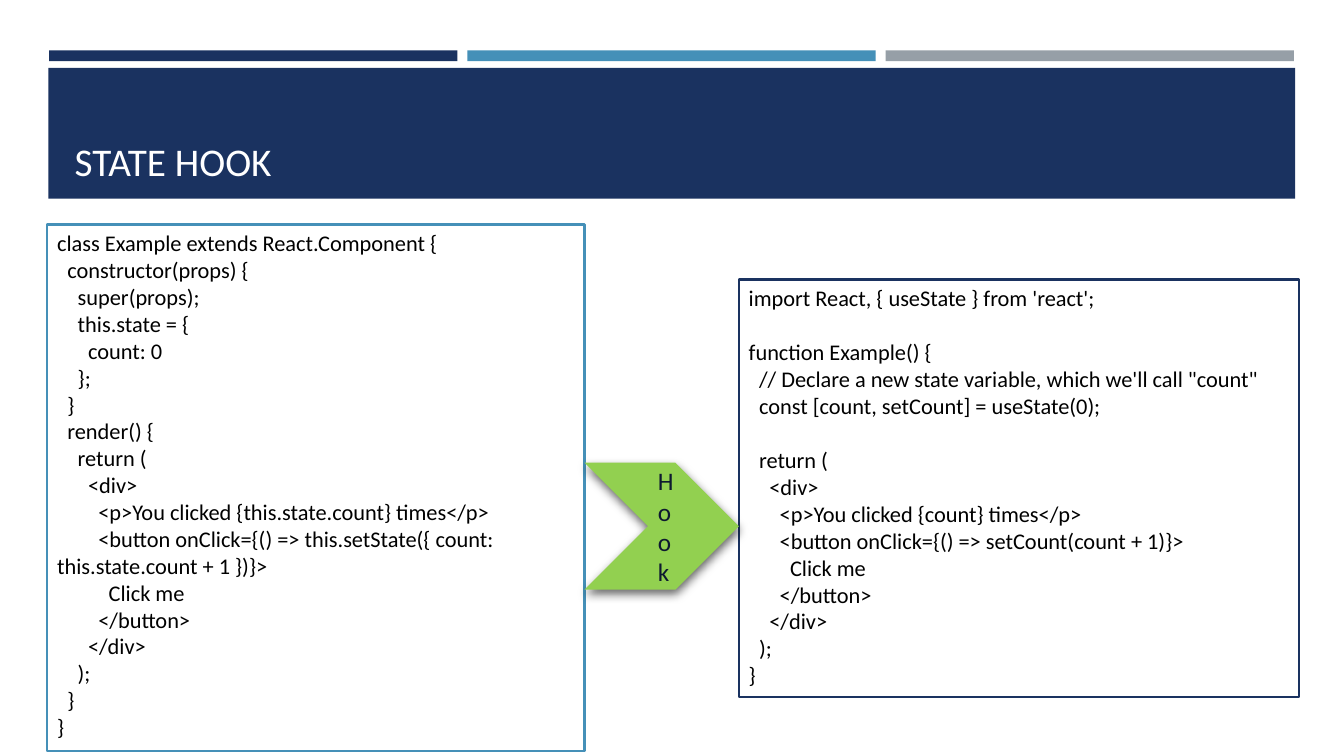
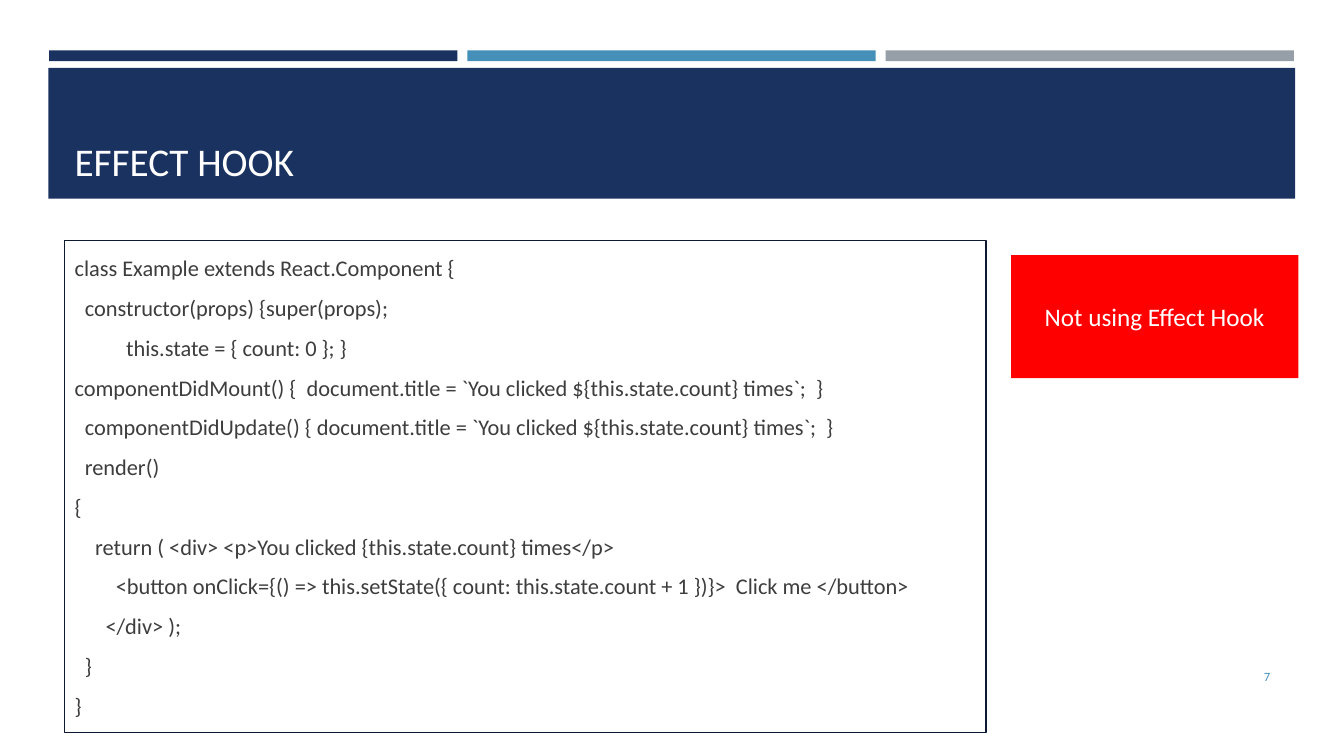
from lxml.etree import SubElement
from pptx import Presentation
from pptx.dml.color import RGBColor
from pptx.enum.shapes import MSO_SHAPE
from pptx.enum.text import MSO_ANCHOR, PP_ALIGN
from pptx.oxml.ns import qn
from pptx.util import Cm, Pt

NAVY = RGBColor(0x1A, 0x32, 0x60)
DARK_NAVY = RGBColor(0x0D, 0x19, 0x30)
BLUE = RGBColor(0x45, 0x90, 0xB8)
GRAY = RGBColor(0x96, 0x9F, 0xA7)
GREEN = RGBColor(0x92, 0xD0, 0x50)
RED = RGBColor(0xFF, 0x00, 0x00)
WHITE = RGBColor(0xFF, 0xFF, 0xFF)
BLACK = RGBColor(0x00, 0x00, 0x00)
BODY_GRAY = RGBColor(0x3D, 0x3D, 0x3D)
FONT = "Calibri"

# Code lines: (indent in characters, text). An empty text opens a gap.
CLASS_STATE = [
    (0, "class Example extends React.Component {"),
    (2, "constructor(props) {"),
    (4, "super(props);"),
    (4, "this.state = {"),
    (6, "count: 0"),
    (4, "};"),
    (2, "}"),
    (2, "render() {"),
    (4, "return ("),
    (6, "<div>"),
    (8, "<p>You clicked {this.state.count} times</p>"),
    (8, "<button onClick={() => this.setState({ count: this.state.count + 1 })}>"),
    (10, "Click me"),
    (8, "</button>"),
    (6, "</div>"),
    (4, ");"),
    (2, "}"),
    (0, "}"),
]
HOOK_STATE = [
    (0, "import React, { useState } from 'react';"),
    (0, ""),
    (0, "function Example() {"),
    (2, "// Declare a new state variable, which we'll call \"count\""),
    (2, "const [count, setCount] = useState(0);"),
    (0, ""),
    (2, "return ("),
    (4, "<div>"),
    (6, "<p>You clicked {count} times</p>"),
    (6, "<button onClick={() => setCount(count + 1)}>"),
    (8, "Click me"),
    (6, "</button>"),
    (4, "</div>"),
    (2, ");"),
    (0, "}"),
]
CLASS_EFFECT = [
    (0, "class Example extends React.Component {"),
    (2, "constructor(props) {super(props);"),
    (10, "this.state = { count: 0 }; }"),
    (0, "componentDidMount() {  document.title = `You clicked ${this.state.count} times`;  }"),
    (2, "componentDidUpdate() { document.title = `You clicked ${this.state.count} times`;  }"),
    (2, "render()"),
    (0, "{"),
    (4, "return ( <div> <p>You clicked {this.state.count} times</p>"),
    (8, "<button onClick={() => this.setState({ count: this.state.count + 1 })}>  Click me </button>"),
    (6, "</div> );"),
    (2, "}"),
    (0, "}"),
]

# Boxes in centimetres: left, top, width, height
TITLE_BAND = (1.22, 1.71, 31.42, 3.3)
TITLE_BOX = (1.63, 1.96, 30.63, 2.82)
STRIPE = (1.24, 1.27, 10.29, 0.27)
STRIPE_STEP = 10.64 - 0.1
STRIPE_COLORS = (NAVY, BLUE, GRAY)
HOOK_BOX = (18.62, 7.04, 14.12, 10.52)
CLASS_BOX = (1.19, 5.66, 13.54, 13.26)
CHEVRON_BOX = (14.73, 11.66, 3.89, 3.2)
EFFECT_BOX = (1.63, 6.05, 23.22, 12.42)
LABEL_BOX = (25.48, 6.43, 7.24, 3.1)
NUMBER_BOX = (29.34, 16.54, 2.92, 1.02)
CODE_SIZE = 16
CODE_LINE = 19.5
INDENT_UNIT = Cm(0.13)


def add_box(slide, box, fill=None, line=None, line_width=0, kind=MSO_SHAPE.RECTANGLE):
    """Add a preset shape without shadow, with optional fill and outline."""
    shape = slide.shapes.add_shape(kind, *map(Cm, box))
    shape.shadow.inherit = False
    if fill is None:
        shape.fill.background()
    else:
        shape.fill.solid()
        shape.fill.fore_color.rgb = fill
    if line is None:
        shape.line.fill.background()
    else:
        shape.line.color.rgb = line
        shape.line.width = Pt(line_width)
    return shape


def add_run(paragraph, text, size, color, align=PP_ALIGN.LEFT):
    """Add one styled run and align its paragraph."""
    paragraph.alignment = align
    run = paragraph.add_run()
    run.text = text
    run.font.name = FONT
    run.font.size = Pt(size)
    run.font.color.rgb = color


def write_label(shape, text, size, color, align, anchor=MSO_ANCHOR.MIDDLE):
    """Write a single paragraph into a shape."""
    frame = shape.text_frame
    frame.word_wrap = True
    frame.vertical_anchor = anchor
    add_run(frame.paragraphs[0], text, size, color, align)


def write_code(shape, lines, color, anchor, before=0, after=0):
    """Write code lines with first-line indents and spacing for gaps."""
    frame = shape.text_frame
    frame.word_wrap = True
    frame.vertical_anchor = anchor
    gap = 0
    for number, (indent, text) in enumerate(lines):
        if not text:
            gap = CODE_LINE
            continue
        paragraph = frame.paragraphs[0] if number == 0 else frame.add_paragraph()
        add_run(paragraph, text, CODE_SIZE, color)
        paragraph.space_before = Pt(before + gap)
        paragraph.space_after = Pt(after)
        properties = paragraph._p.get_or_add_pPr()
        properties.set("marL", "0")
        properties.set("indent", str(indent * INDENT_UNIT))
        gap = 0


def add_shadow(shape, blur, distance, degrees, opacity):
    """Give a shape a black outer shadow."""
    effects = shape._element.spPr.find(qn("a:effectLst"))
    shadow = SubElement(effects, qn("a:outerShdw"), blurRad=str(Pt(blur)),
                        dist=str(Pt(distance)), dir=str(degrees * 60000), rotWithShape="0")
    color = SubElement(shadow, qn("a:srgbClr"), val=str(BLACK))
    SubElement(color, qn("a:alpha"), val=str(opacity * 1000))


def add_text(slide, box, *label):
    """Add a text box holding one label."""
    write_label(slide.shapes.add_textbox(*map(Cm, box)), *label)


def add_titled_slide(presentation, title):
    """Add a blank slide with the three stripes and the title band."""
    slide = presentation.slides.add_slide(presentation.slide_layouts[6])
    left, top, width, height = STRIPE
    for column, color in enumerate(STRIPE_COLORS):
        add_box(slide, (left + column * STRIPE_STEP, top, width, height), color)
    add_box(slide, TITLE_BAND, NAVY)
    add_text(slide, TITLE_BOX, title, 28, WHITE, PP_ALIGN.LEFT, MSO_ANCHOR.BOTTOM)
    return slide


def build_state_slide(presentation):
    """Compare class state with the state hook."""
    slide = add_titled_slide(presentation, "STATE HOOK")
    for box, line, code in ((HOOK_BOX, NAVY, HOOK_STATE), (CLASS_BOX, BLUE, CLASS_STATE)):
        panel = add_box(slide, box, WHITE, line, 1.75)
        write_code(panel, code, BLACK, MSO_ANCHOR.TOP)
    chevron = add_box(slide, CHEVRON_BOX, GREEN, kind=MSO_SHAPE.CHEVRON)
    add_shadow(chevron, blur=7, distance=3, degrees=84, opacity=60)
    write_label(chevron, "Hook", 18, DARK_NAVY, PP_ALIGN.CENTER)


def build_effect_slide(presentation):
    """Show the class component without the effect hook."""
    slide = add_titled_slide(presentation, "EFFECT HOOK")
    panel = add_box(slide, EFFECT_BOX, line=DARK_NAVY, line_width=0.75)
    write_code(panel, CLASS_EFFECT, BODY_GRAY, MSO_ANCHOR.MIDDLE, before=3.2, after=6)
    add_text(slide, NUMBER_BOX, "7", 9, BLUE, PP_ALIGN.RIGHT)
    label = add_box(slide, LABEL_BOX, RED)
    write_label(label, "Not using Effect Hook", 18, WHITE, PP_ALIGN.CENTER)


def main():
    """Build and save the presentation."""
    presentation = Presentation()
    presentation.slide_width = Cm(33.87)
    presentation.slide_height = Cm(19.05)
    build_state_slide(presentation)
    build_effect_slide(presentation)
    presentation.save("out.pptx")


main()
